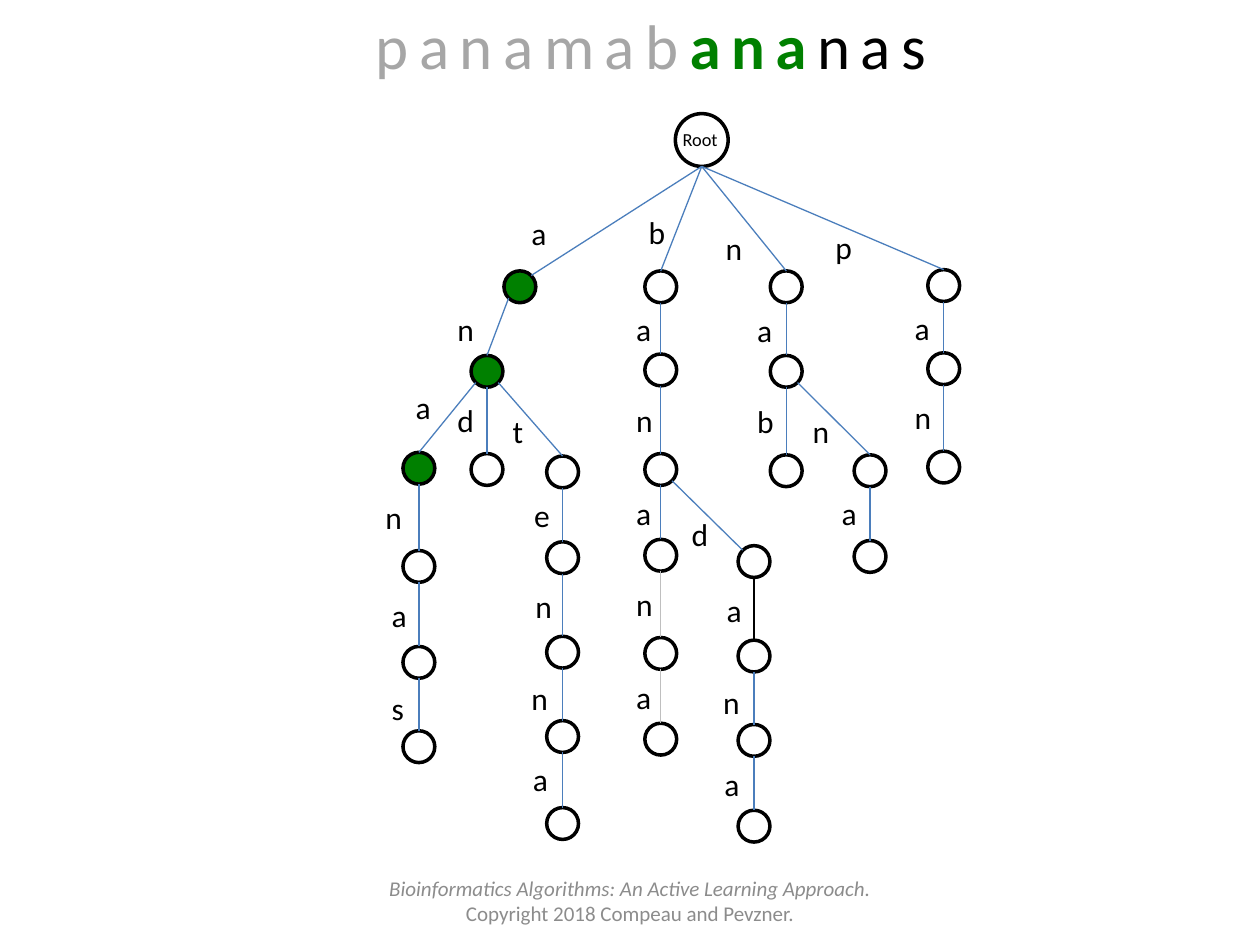
import pptx
import pptx.dml.color
import pptx.enum.shapes
import pptx.enum.text
import pptx.oxml.ns
import pptx.util
from lxml import etree

Pt = pptx.util.Pt
FONT = "Calibri"
BLACK, WHITE, GREEN, BLUE = "000000", "FFFFFF", "008000", "4B7EBC"
SIZE = 18.2   # node diameter
ROOT = 30.2   # root diameter
MID = (201, 20)   # root centre in the tree box

# Path from the root: node centre x, y; label left, top (in the tree box)
NODES = {
    "a": (97.1, 103.9, 96.6, 58.8),
    "an": (78.3, 152.2, 54.2, 113.5),
    "ana": (39.4, 207.6, 30.4, 158.2),
    "anan": (39.4, 263.7, 13.1, 220.8),
    "anana": (39.4, 318.5, 16.7, 277),
    "ananas": (39.4, 366.7, 16.7, 330.2),
    "and": (78.3, 208.3, 54.2, 165.4),
    "ant": (121.5, 209.7, 85.8, 171.8),
    "ante": (121.5, 258.7, 98.1, 220.1),
    "anten": (121.5, 312.7, 98.8, 271.9),
    "antenn": (121.5, 360.9, 96.6, 324.5),
    "antenna": (121.5, 410.6, 97.4, 370.6),
    "b": (177.6, 103.9, 163.6, 58.1),
    "ba": (177.6, 151.4, 156.4, 113.5),
    "ban": (177.6, 208.3, 156.4, 165.4),
    "bana": (177.6, 257.3, 156.4, 218.6),
    "banan": (177.6, 313.4, 156.4, 270.5),
    "banana": (177.6, 362.4, 156.4, 323.8),
    "band": (230.9, 260.9, 188.1, 230.9),
    "banda": (230.9, 314.9, 208.2, 274.1),
    "bandan": (230.9, 363.1, 206.1, 326.6),
    "bandana": (230.9, 412.1, 206.8, 373.4),
    "n": (249.3, 103.9, 207.5, 67.4),
    "na": (249.3, 152.2, 225.5, 114.2),
    "nab": (249.3, 209, 225.5, 166.1),
    "nan": (297.2, 209, 257.2, 171.8),
    "nana": (297.2, 258, 273.8, 218.6),
    "p": (339.3, 103.2, 270.2, 66.7),
    "pa": (339.3, 150.7, 315.5, 112.8),
    "pan": (339.3, 206.9, 315.5, 163.9),
}
MATCH = {"a", "an", "ana"}
TINTS = {"banan": "BFBFBF", "banana": "BFBFBF", "banda": BLACK}
SIDES = {"a": 1, "band": -1}   # edges that end at an upper corner


def rgb(code):
    return pptx.dml.color.RGBColor.from_string(code)


def text(slide, box, lines, size, wrap=True, centre=False):
    """Lines hold runs of (words, colour, bold, italic)."""
    frame = slide.shapes.add_textbox(*map(Pt, box)).text_frame
    frame.word_wrap = wrap
    for i, runs in enumerate(lines):
        para = frame.add_paragraph() if i else frame.paragraphs[0]
        para.font.size, para.font.name = Pt(size), FONT
        if centre:
            para.alignment = pptx.enum.text.PP_ALIGN.CENTER
        for words, tint, bold, slant in runs:
            run = para.add_run()
            run.text = words
            run.font.color.rgb = rgb(tint)
            run.font.bold, run.font.italic = bold, slant
    return frame


def edge(slide, start, end, tint):
    line = slide.shapes.add_connector(
        pptx.enum.shapes.MSO_CONNECTOR.STRAIGHT, *map(Pt, start + end))
    line.line.color.rgb = rgb(tint)
    line.line.width = Pt(0.75)
    etree.SubElement(line._element.spPr, pptx.oxml.ns.qn("a:effectLst"))


def node(slide, x, y, size, fill):
    disc = slide.shapes.add_shape(
        pptx.enum.shapes.MSO_SHAPE.OVAL,
        Pt(x - size / 2), Pt(y - size / 2), Pt(size), Pt(size))
    disc.shadow.inherit = False
    disc.fill.solid()
    disc.fill.fore_color.rgb = rgb(fill)
    disc.line.color.rgb = rgb(BLACK)
    disc.line.width = Pt(2)


def rim(x, y, side, down):
    """Point on a node: side -1, 0 or 1; down 1 for below, -1 for above."""
    reach = SIZE / 2 * (0.71 if side else 1)
    return x + side * reach, y + down * reach


def tree(slide, left, top):
    x0, y0 = left + MID[0], top + MID[1]
    node(slide, x0, y0, ROOT, WHITE)
    text(slide, (x0 - 18, y0 - 10, 39.6, 20), [[("Root", BLACK, False, False)]], 10.5)
    for key, (x, y, lx, ly) in NODES.items():
        x, y = left + x, top + y
        if len(key) == 1:
            start = (x0, y0 + ROOT / 2)
        else:
            px, py = left + NODES[key[:-1]][0], top + NODES[key[:-1]][1]
            start = rim(px, py, (x > px) - (x < px), 1)
        node(slide, x, y, SIZE, GREEN if key in MATCH else WHITE)
        edge(slide, start, rim(x, y, SIDES.get(key, 0), -1), TINTS.get(key, BLUE))
        text(slide, (left + lx, top + ly, 24, 29), [[(key[-1], BLACK, False, False)]],
             18, wrap=False)


def title(slide, box):
    runs = [("panamab", "A6A6A6", False, False), ("ana", GREEN, True, False),
            ("nas", BLACK, False, False)]
    frame = text(slide, box, [runs], 36, centre=True)
    for run in frame.paragraphs[0].runs:
        run._r.get_or_add_rPr().set("spc", "600")


def foot(slide, box):
    grey = "8C8C8C"
    lines = [[("Bioinformatics Algorithms: An Active Learning Approach.", grey, False, True)],
             [("Copyright 2018 Compeau and Pevzner.", grey, False, False)]]
    frame = text(slide, box, lines, 12, centre=True)
    frame.vertical_anchor = pptx.enum.text.MSO_ANCHOR.MIDDLE


def main():
    deck = pptx.Presentation()
    deck.slide_width, deck.slide_height = Pt(720), Pt(540)
    slide = deck.slides.add_slide(deck.slide_layouts[6])
    title(slide, (192, 0, 360, 51))
    tree(slide, 200, 60)
    foot(slide, (204, 500.4, 312, 28.8))
    deck.save("out.pptx")


if __name__ == "__main__":
    main()
